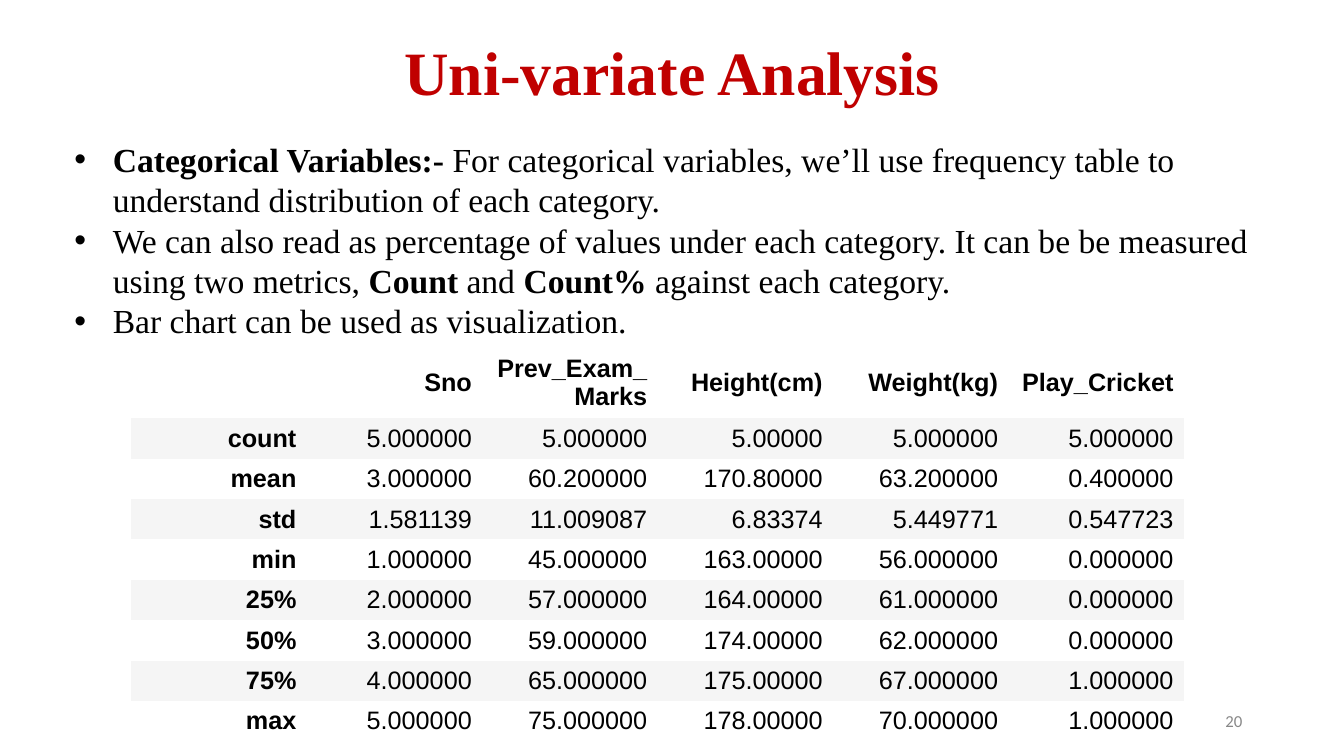
from lxml import etree
from pptx import Presentation
from pptx.dml.color import RGBColor
from pptx.enum.text import MSO_ANCHOR, PP_ALIGN
from pptx.oxml.ns import qn
from pptx.util import Inches, Pt

TOP, MIDDLE = MSO_ANCHOR.TOP, MSO_ANCHOR.MIDDLE
LEFT, CENTER, RIGHT = PP_ALIGN.LEFT, PP_ALIGN.CENTER, PP_ALIGN.RIGHT

RED = RGBColor(0xC0, 0x00, 0x00)
BLACK = RGBColor(0x00, 0x00, 0x00)
GRAY = RGBColor(0x88, 0x88, 0x88)
WHITE = RGBColor(0xFF, 0xFF, 0xFF)
STRIPE = RGBColor(0xF5, 0xF5, 0xF5)

SERIF, SANS, NUMBER_FONT = "Times New Roman", "Arial", "Calibri"
PLAIN_TABLE_STYLE = "{2D5ABB26-0587-4C30-8999-92F81FD0307C}"

TITLE = [[("Uni-variate Analysis", True)]]
PAGE_NUMBER = [[("20", False)]]
POINTS = [
    [
        ("Categorical Variables:- ", True),
        ("For categorical variables, we’ll use frequency table to understand "
         "distribution of each category.", False),
    ],
    [
        ("We can also read as percentage of values under each category. "
         "It can be be measured using two metrics, ", False),
        ("Count", True),
        (" and ", False),
        ("Count%", True),
        (" against each category.", False),
    ],
    [("Bar chart can be used as visualization.", False)],
]
STATISTICS = [
    ("", "Sno", "Prev_Exam_Marks", "Height(cm)", "Weight(kg)", "Play_Cricket"),
    ("count", "5.000000", "5.000000", "5.00000", "5.000000", "5.000000"),
    ("mean", "3.000000", "60.200000", "170.80000", "63.200000", "0.400000"),
    ("std", "1.581139", "11.009087", "6.83374", "5.449771", "0.547723"),
    ("min", "1.000000", "45.000000", "163.00000", "56.000000", "0.000000"),
    ("25%", "2.000000", "57.000000", "164.00000", "61.000000", "0.000000"),
    ("50%", "3.000000", "59.000000", "174.00000", "62.000000", "0.000000"),
    ("75%", "4.000000", "65.000000", "175.00000", "67.000000", "1.000000"),
    ("max", "5.000000", "75.000000", "178.00000", "70.000000", "1.000000"),
]
COLUMN_WIDTH, HEADER_HEIGHT, ROW_HEIGHT = 1.74, 0.57, 0.33
BULLET_INDENT = 0.38


def add_span(para, text, font, size, color, bold):
    span = para.add_run()
    span.text = text
    span.font.name = font
    span.font.size = Pt(size)
    span.font.color.rgb = color
    span.font.bold = bold


def add_bullet(para):
    properties = para._p.get_or_add_pPr()
    properties.set("marL", str(Inches(BULLET_INDENT)))
    properties.set("indent", str(-Inches(BULLET_INDENT)))
    etree.SubElement(properties, qn("a:buFont")).set("typeface", SANS)
    etree.SubElement(properties, qn("a:buChar")).set("char", "•")


def add_text(page, place, paragraphs, font, size, color, align, anchor, bulleted=False):
    frame = page.shapes.add_textbox(*map(Inches, place)).text_frame
    frame.word_wrap = True
    frame.vertical_anchor = anchor
    for index, spans in enumerate(paragraphs):
        para = frame.add_paragraph() if index else frame.paragraphs[0]
        para.alignment = align
        if bulleted:
            add_bullet(para)
        for text, bold in spans:
            add_span(para, text, font, size, color, bold)
    return frame


def add_statistics(page, left, top):
    rows, columns = len(STATISTICS), len(STATISTICS[0])
    height = HEADER_HEIGHT + ROW_HEIGHT * (rows - 1)
    table = page.shapes.add_table(
        rows, columns, Inches(left), Inches(top),
        Inches(COLUMN_WIDTH * columns), Inches(height)).table
    table.horz_banding = False
    table._tbl.tblPr.find(qn("a:tableStyleId")).text = PLAIN_TABLE_STYLE
    for column in table.columns:
        column.width = Inches(COLUMN_WIDTH)
    for r, values in enumerate(STATISTICS):
        table.rows[r].height = Inches(ROW_HEIGHT if r else HEADER_HEIGHT)
        for c, value in enumerate(values):
            cell = table.cell(r, c)
            cell.fill.solid()
            cell.fill.fore_color.rgb = STRIPE if r % 2 else WHITE
            cell.vertical_anchor = MIDDLE
            para = cell.text_frame.paragraphs[0]
            para.alignment = RIGHT
            if value:
                add_span(para, value, SANS, 18, BLACK, r == 0 or c == 0)


def main():
    deck = Presentation()
    deck.slide_width, deck.slide_height = Inches(13.33), Inches(7.5)
    page = deck.slides.add_slide(deck.slide_layouts[6])
    title = add_text(page, (0.92, 0.02, 11.5, 1.45), TITLE, SERIF, 44, RED, CENTER, MIDDLE)
    title.paragraphs[0].line_spacing = 0.9
    add_statistics(page, 1.3, 3.45)
    add_text(page, (9.42, 6.95, 3, 0.4), PAGE_NUMBER, NUMBER_FONT, 12, GRAY, RIGHT, MIDDLE)
    add_text(page, (0.64, 1.33, 12.19, 2.12), POINTS, SERIF, 24, BLACK, LEFT, TOP, True)
    deck.save("out.pptx")


if __name__ == "__main__":
    main()
